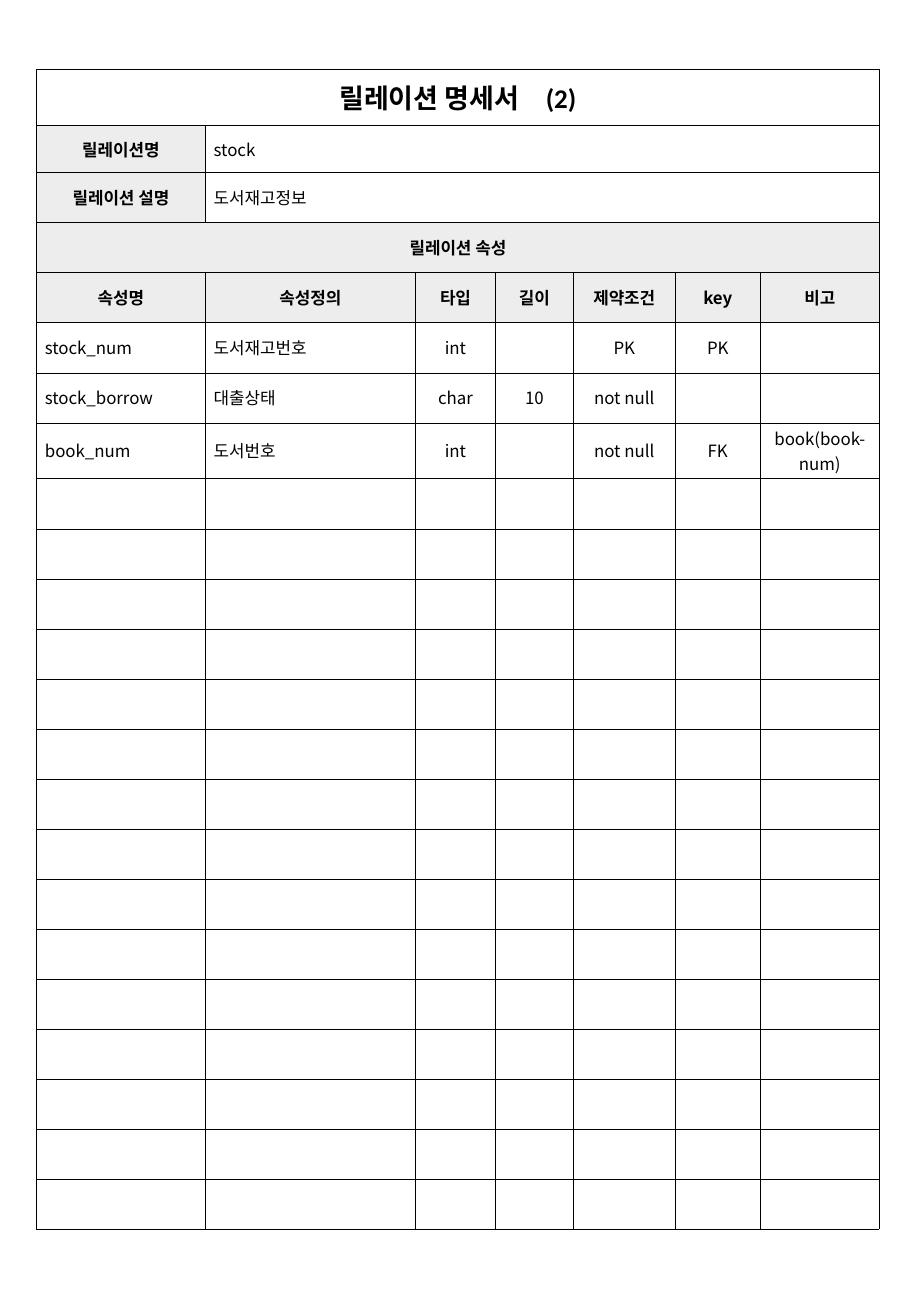
from lxml.etree import SubElement
from pptx import Presentation
from pptx.dml.color import RGBColor
from pptx.enum.text import MSO_ANCHOR, PP_ALIGN
from pptx.oxml.ns import qn
from pptx.util import Inches, Pt

BLACK = RGBColor(0x00, 0x00, 0x00)
WHITE = RGBColor(0xFF, 0xFF, 0xFF)
GREY = RGBColor(0xED, 0xED, 0xED)

LATIN = "Calibri"
KOREAN = "Noto Sans CJK KR"

LEFT, TOP, HEIGHT = 0.3, 0.57, 9.5
COL_WIDTHS = [1.39, 1.73, 0.66, 0.64, 0.84, 0.7, 0.98]
TITLE_HEIGHT, NAME_HEIGHT = 0.46, 0.39
ROW_COUNT = 23
ROW_HEIGHT = (HEIGHT - TITLE_HEIGHT - NAME_HEIGHT) / (ROW_COUNT - 2)
ROW_HEIGHTS = [TITLE_HEIGHT, NAME_HEIGHT] + [ROW_HEIGHT] * (ROW_COUNT - 2)

TITLE = "릴레이션 명세서　(2)"
SUMMARY = [("릴레이션명", "stock", KOREAN), ("릴레이션 설명", "도서재고정보", LATIN)]
SECTION = "릴레이션 속성"
HEADINGS = ["속성명", "속성정의", "타입", "길이", "제약조건", "key", "비고"]
ATTRIBUTES = [
    ["stock_num", "도서재고번호", "int", "", "PK", "PK", ""],
    ["stock_borrow", "대출상태", "char", "10", "not null", "", ""],
    ["book_num", "도서번호", "int", "", "not null", "FK", "book(book-num)"],
]
SECTION_ROW, HEADING_ROW = 3, 4
FIRST_ATTRIBUTE_ROW = 5


class SpecSheet:
    def __init__(self, slide):
        self.slide = slide
        self.size = 10
        self.border_width = Pt(0.25)

    def add_grid(self, left, top, widths, heights):
        """Add a ruled table of empty white cells."""
        frame = self.slide.shapes.add_table(
            len(heights), len(widths), Inches(left), Inches(top),
            Inches(sum(widths)), Inches(sum(heights)))
        self.table = frame.table
        self.table.first_row = False
        self.table.horz_banding = False
        for column, width in zip(self.table.columns, widths):
            column.width = Inches(width)
        for row, height in zip(self.table.rows, heights):
            row.height = Inches(height)
        for cell in self.table.iter_cells():
            self.rule(cell)
            self.fill(cell, WHITE)
            cell.vertical_anchor = MSO_ANCHOR.MIDDLE
            cell.margin_left = cell.margin_right = Inches(0.07)
            cell.margin_top = cell.margin_bottom = Inches(0.03)

    def rule(self, cell):
        """Draw the four borders of a cell."""
        tc_pr = cell._tc.get_or_add_tcPr()
        for side in ("a:lnL", "a:lnR", "a:lnT", "a:lnB"):
            line = SubElement(tc_pr, qn(side), w=str(self.border_width))
            solid = SubElement(line, qn("a:solidFill"))
            SubElement(solid, qn("a:srgbClr"), val=str(BLACK))

    def fill(self, cell, color):
        cell.fill.solid()
        cell.fill.fore_color.rgb = color

    def merge_right(self, row, col):
        """Merge a cell with all cells to its right."""
        last = len(self.table.columns) - 1
        self.table.cell(row, col).merge(self.table.cell(row, last))

    def set_text(self, row, col, text, centred=True, bold=False, font=KOREAN, size=None):
        p = self.table.cell(row, col).text_frame.paragraphs[0]
        p.alignment = PP_ALIGN.CENTER if centred else PP_ALIGN.LEFT
        size = size or self.size
        if not text:
            SubElement(p._p, qn("a:endParaRPr"), sz=str(size * 100))
            return
        r = p.add_run()
        r.text = text
        r.font.size = Pt(size)
        r.font.bold = bold
        r.font.name = font
        r.font.color.rgb = BLACK
        SubElement(r._r.get_or_add_rPr(), qn("a:ea"), typeface=KOREAN)

    def label(self, row, col, text):
        """Set a bold label on grey."""
        self.fill(self.table.cell(row, col), GREY)
        self.set_text(row, col, text, bold=True)


def main():
    prs = Presentation()
    prs.slide_width = Inches(7.5)
    prs.slide_height = Inches(10.83)
    sheet = SpecSheet(prs.slides.add_slide(prs.slide_layouts[6]))
    sheet.add_grid(LEFT, TOP, COL_WIDTHS, ROW_HEIGHTS)

    sheet.merge_right(0, 0)
    sheet.set_text(0, 0, TITLE, bold=True, font=LATIN, size=16)

    for row, (name, value, font) in enumerate(SUMMARY, start=1):
        sheet.label(row, 0, name)
        sheet.merge_right(row, 1)
        sheet.set_text(row, 1, value, centred=False, font=font)

    sheet.merge_right(SECTION_ROW, 0)
    sheet.label(SECTION_ROW, 0, SECTION)
    for col, heading in enumerate(HEADINGS):
        sheet.label(HEADING_ROW, col, heading)

    blank_count = ROW_COUNT - FIRST_ATTRIBUTE_ROW - len(ATTRIBUTES)
    blanks = [[""] * len(HEADINGS)] * blank_count
    for row, values in enumerate(ATTRIBUTES + blanks, start=FIRST_ATTRIBUTE_ROW):
        for col, value in enumerate(values):
            sheet.set_text(row, col, value, centred=col >= 2)

    # Cells hidden by a merge keep a small text height.
    for row in range(HEADING_ROW):
        for col in range(1, len(HEADINGS)):
            if sheet.table.cell(row, col).is_spanned:
                sheet.set_text(row, col, "")

    prs.save("out.pptx")


if __name__ == "__main__":
    main()
